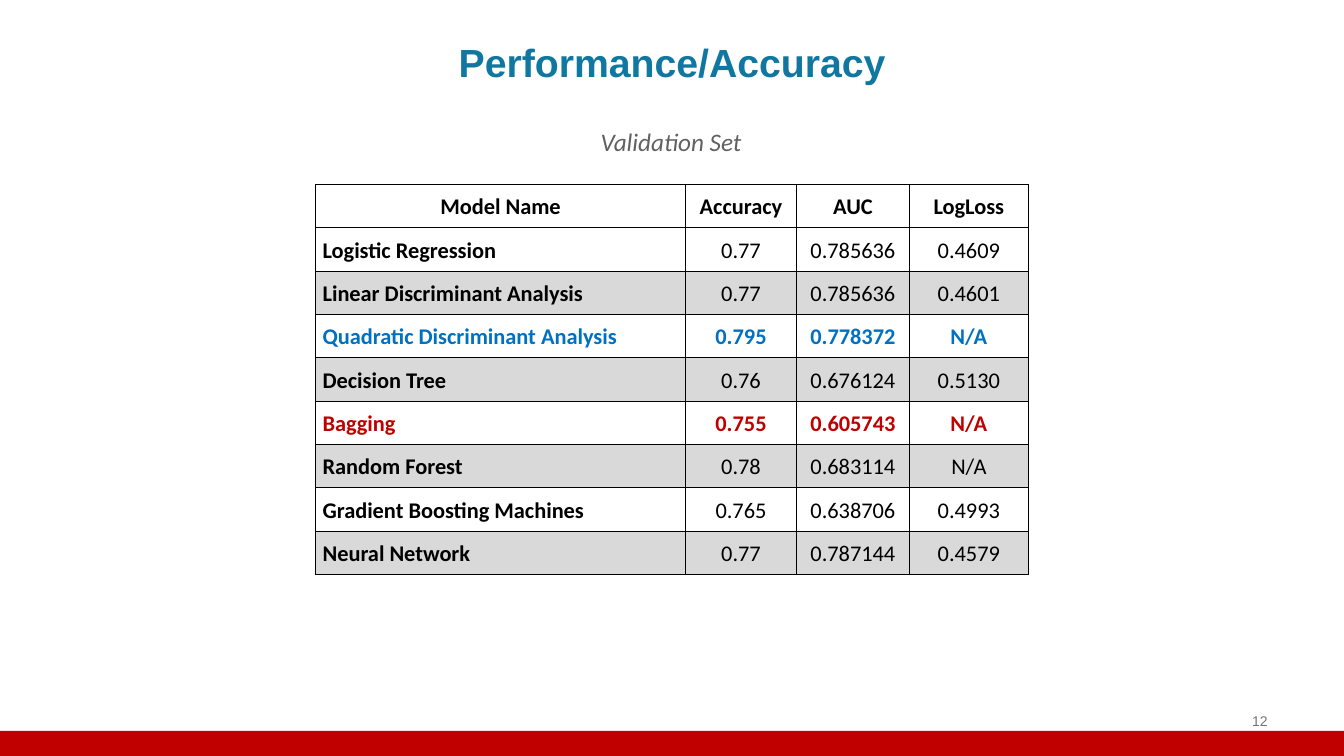
from typing import NamedTuple

from lxml.etree import SubElement
from pptx import Presentation
from pptx.dml.color import RGBColor
from pptx.enum.shapes import MSO_SHAPE
from pptx.enum.text import MSO_ANCHOR as Anchor, MSO_AUTO_SIZE as AutoSize, PP_ALIGN as Align
from pptx.oxml.ns import qn
from pptx.util import Emu, Pt

EMU_PER_PX = 9144  # 100 px to the inch
SLIDE_WIDTH, SLIDE_HEIGHT = 1333, 750

COLORS = {
    "title": "1078A0",
    "subtitle": "616161",
    "number": "747474",
    "black": "000000",
    "best": "0070C0",
    "worst": "C00000",
    "footer": "C00000",
    "band": "D9D9D9",
}


class Box(NamedTuple):
    left: int
    top: int
    width: int
    height: int


class TextStyle(NamedTuple):
    size: int
    color: str
    font: str = "Calibri"
    bold: bool = False
    italic: bool = False
    align: Align = Align.LEFT


class Model(NamedTuple):
    name: str
    accuracy: str
    auc: str
    log_loss: str
    highlight: str = ""

    @property
    def values(self) -> tuple[str, ...]:
        return self.name, self.accuracy, self.auc, self.log_loss


HEADER = Model("Model Name", "Accuracy", "AUC", "LogLoss")
MODELS = [
    Model("Logistic Regression", "0.77", "0.785636", "0.4609"),
    Model("Linear Discriminant Analysis", "0.77", "0.785636", "0.4601"),
    Model("Quadratic Discriminant Analysis", "0.795", "0.778372", "N/A", "best"),
    Model("Decision Tree", "0.76", "0.676124", "0.5130"),
    Model("Bagging", "0.755", "0.605743", "N/A", "worst"),
    Model("Random Forest", "0.78", "0.683114", "N/A"),
    Model("Gradient Boosting Machines", "0.765", "0.638706", "0.4993"),
    Model("Neural Network", "0.77", "0.787144", "0.4579"),
]
COLUMN_WIDTHS = [367, 110, 112, 118]
ROW_HEIGHT = 43


def px(length: int) -> Emu:
    return Emu(length * EMU_PER_PX)


def rgb(name: str) -> RGBColor:
    return RGBColor.from_string(COLORS[name])


def place(shape, box: Box) -> None:
    shape.left, shape.top, shape.width, shape.height = map(px, box)


def write(frame, text: str, style: TextStyle) -> None:
    frame.text = text
    paragraph = frame.paragraphs[0]
    paragraph.alignment = style.align
    font = paragraph.font
    font.name, font.size = style.font, Pt(style.size)
    font.bold, font.italic = style.bold, style.italic
    font.color.rgb = rgb(style.color)


def add_text(slide, box: Box, text: str, style: TextStyle, anchor: Anchor) -> None:
    frame = slide.shapes.add_textbox(*map(px, box)).text_frame
    frame.word_wrap = True
    frame.vertical_anchor = anchor
    write(frame, text, style)


def add_borders(cell) -> None:
    properties = cell._tc.get_or_add_tcPr()
    for side in ("lnL", "lnR", "lnT", "lnB"):
        line = SubElement(properties, qn(f"a:{side}"), w=str(Pt(1)))
        fill = SubElement(line, qn("a:solidFill"))
        SubElement(fill, qn("a:srgbClr"), val=COLORS["black"])


def fill_cell(cell, text: str, style: TextStyle, banded: bool) -> None:
    cell.margin_left = cell.margin_right = px(7)
    cell.margin_top = cell.margin_bottom = 0
    cell.vertical_anchor = Anchor.MIDDLE
    add_borders(cell)
    if banded:
        cell.fill.solid()
        cell.fill.fore_color.rgb = rgb("band")
    else:
        cell.fill.background()
    write(cell.text_frame, text, style)
    cell.text_frame.paragraphs[0].line_spacing = 1.07


def add_model_table(slide, left: int, top: int) -> None:
    rows = [HEADER, *MODELS]
    box = Box(left, top, sum(COLUMN_WIDTHS), ROW_HEIGHT * len(rows))
    table = slide.shapes.add_table(len(rows), len(COLUMN_WIDTHS), *map(px, box)).table
    table.first_row = table.horz_banding = False
    for column, width in zip(table.columns, COLUMN_WIDTHS):
        column.width = px(width)
    for r, model in enumerate(rows):
        table.rows[r].height = px(ROW_HEIGHT)
        for c, text in enumerate(model.values):
            style = TextStyle(
                16,
                model.highlight or "black",
                bold=r == 0 or c == 0 or bool(model.highlight),
                align=Align.LEFT if c == 0 and r > 0 else Align.CENTER,
            )
            fill_cell(table.cell(r, c), text, style, banded=r > 0 and r % 2 == 0)


def main() -> None:
    presentation = Presentation()
    presentation.slide_width = px(SLIDE_WIDTH)
    presentation.slide_height = px(SLIDE_HEIGHT)
    slide = presentation.slides.add_slide(presentation.slide_layouts[5])

    # Title
    title = slide.shapes.title
    place(title, Box(0, 13, SLIDE_WIDTH, 77))
    title.text_frame.auto_size = AutoSize.NONE
    title.text_frame.vertical_anchor = Anchor.BOTTOM
    title_style = TextStyle(28, "title", "Arial", bold=True, align=Align.CENTER)
    write(title.text_frame, "Performance/Accuracy", title_style)

    # Slide number and footer band
    number_style = TextStyle(10, "number", "Arial", align=Align.RIGHT)
    add_text(slide, Box(956, 695, 311, 40), "12", number_style, Anchor.MIDDLE)
    footer_box = Box(0, 725, SLIDE_WIDTH, 25)
    footer = slide.shapes.add_shape(MSO_SHAPE.RECTANGLE, *map(px, footer_box))
    footer.shadow.inherit = False
    footer.fill.solid()
    footer.fill.fore_color.rgb = rgb("footer")
    footer.line.fill.background()

    # Validation results
    subtitle_style = TextStyle(18, "subtitle", italic=True)
    add_text(slide, Box(586, 120, 177, 40), "Validation Set", subtitle_style, Anchor.TOP)
    add_model_table(slide, 313, 183)

    presentation.save("out.pptx")


if __name__ == "__main__":
    main()
